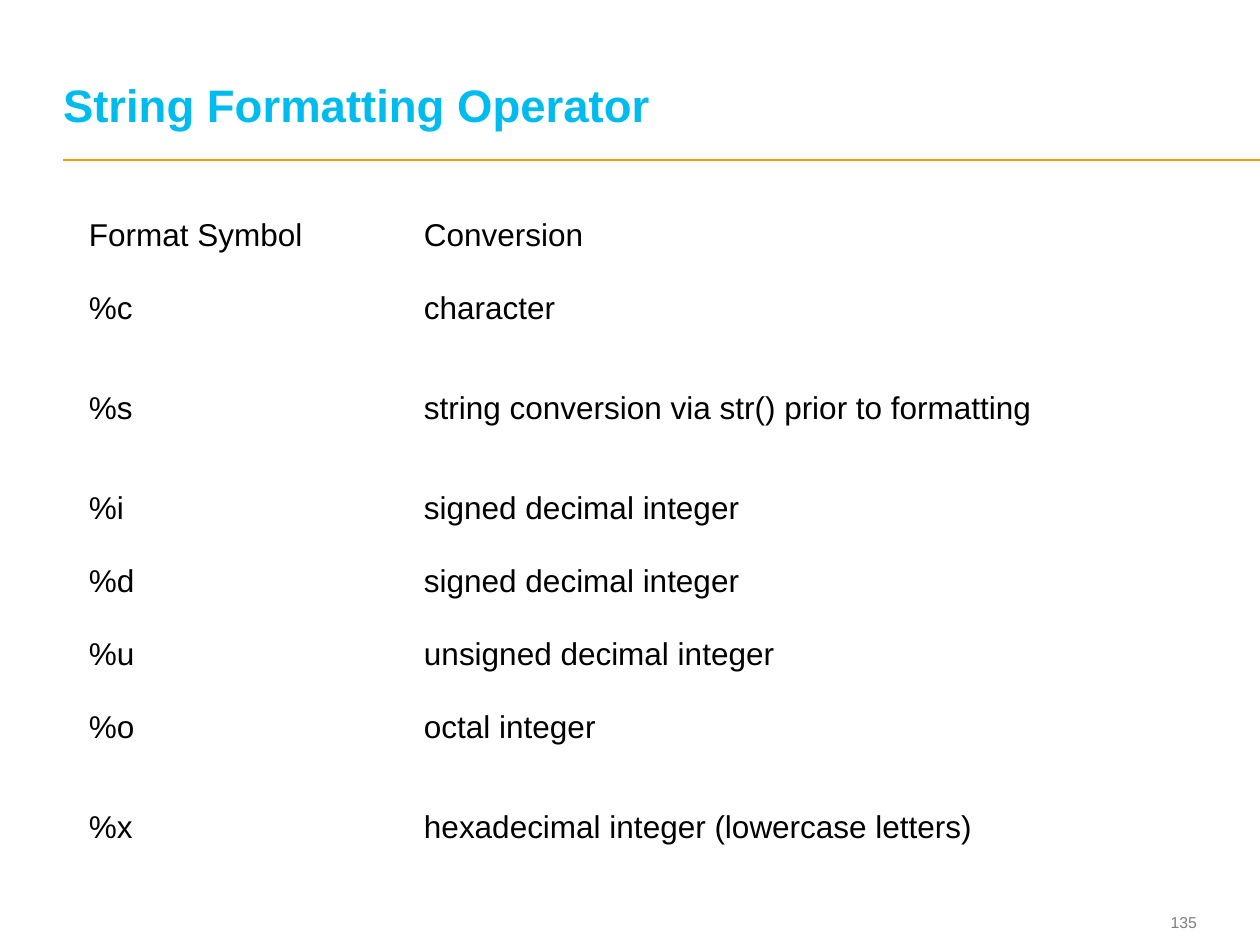
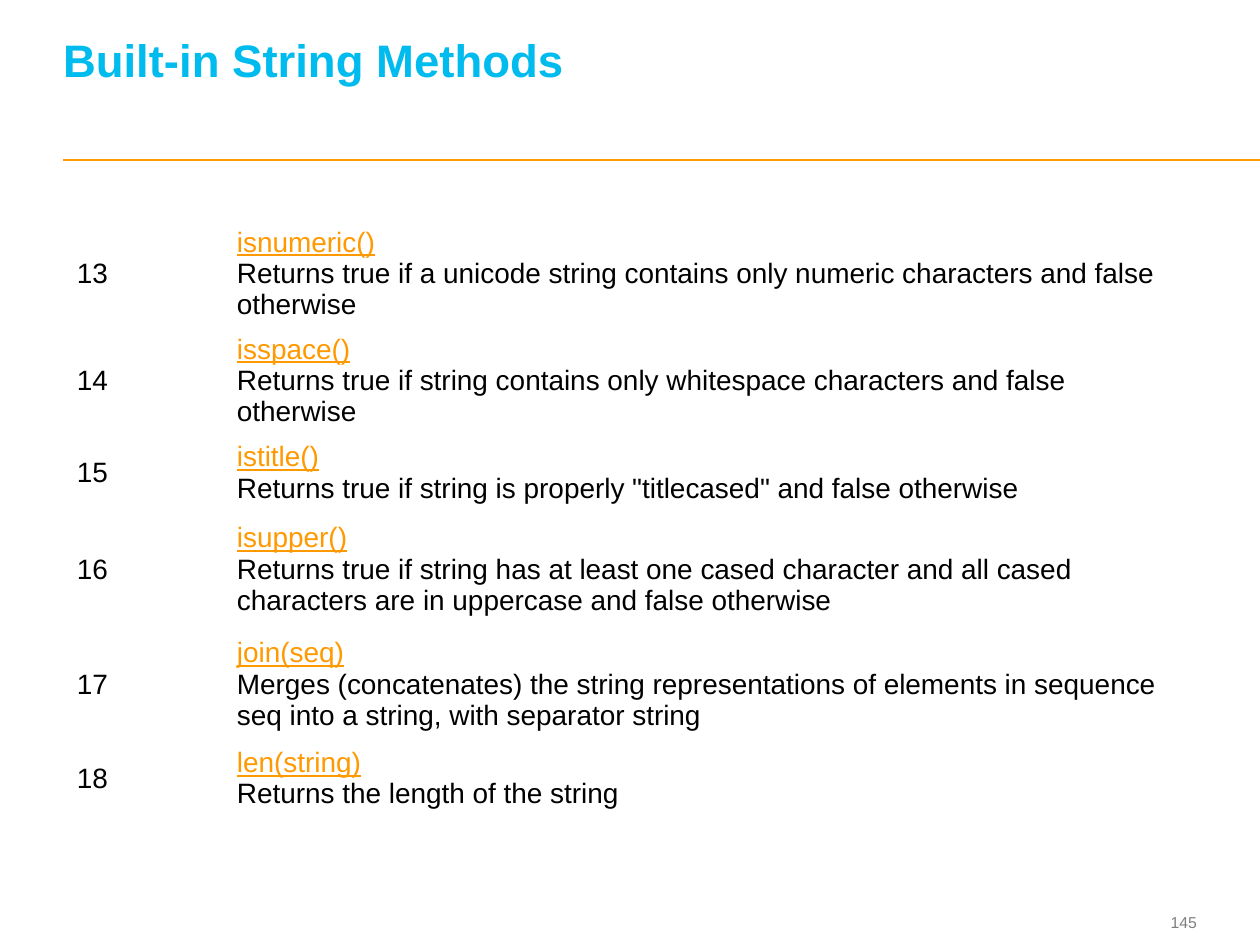
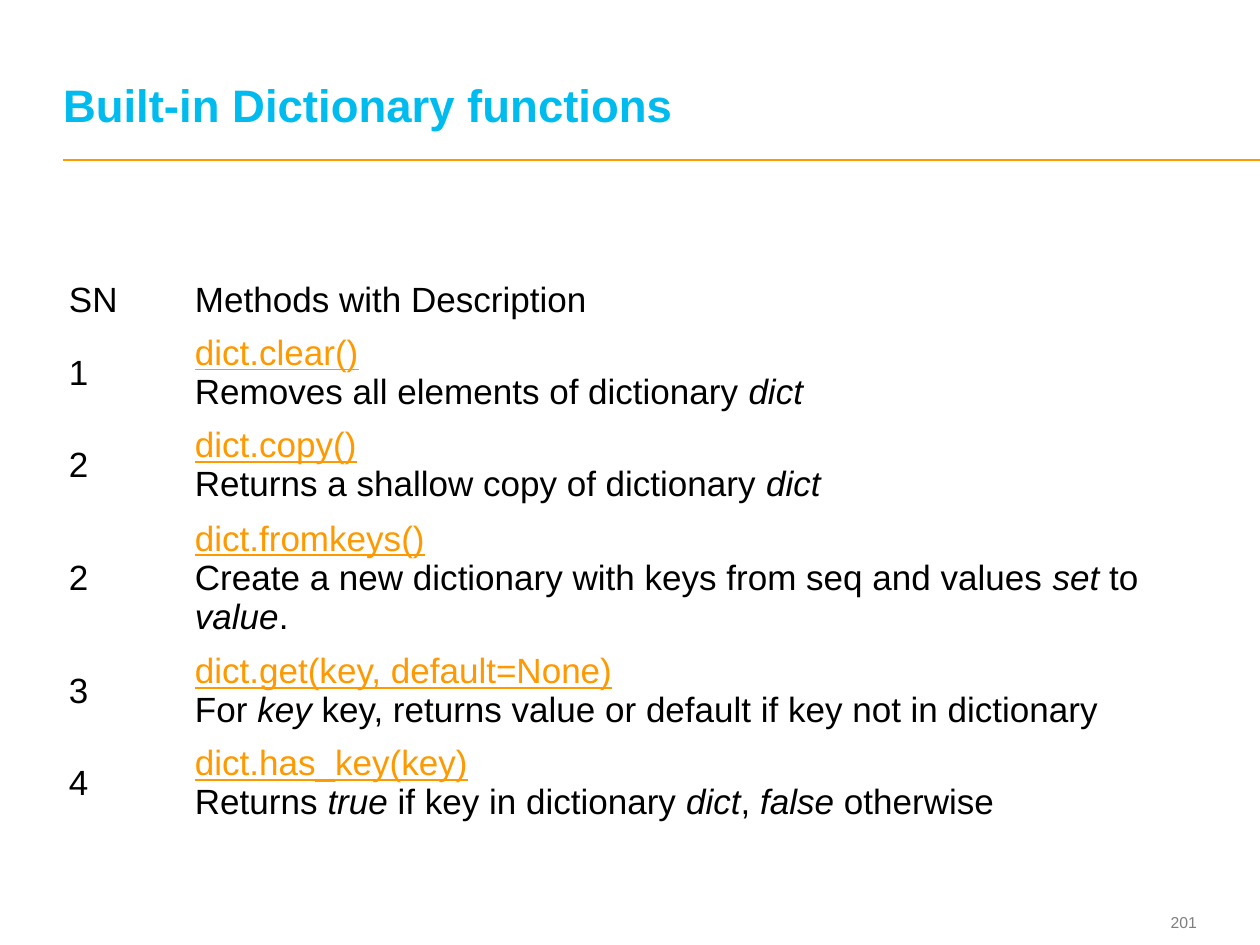
"""Build three slides on string formatting, string methods and dictionary functions."""
from lxml.etree import SubElement
from pptx import Presentation
from pptx.dml.color import RGBColor
from pptx.enum.shapes import MSO_CONNECTOR as CONN
from pptx.enum.text import MSO_ANCHOR as ANCHOR, PP_ALIGN as ALIGN
from pptx.oxml.ns import qn
from pptx.util import Pt

SCALE = 914400 / 126
ORANGE, CYAN, GREY, BLACK = "FF9900", "00BBEE", "7F7F7F", "000000"


def px(*lengths):
    return [round(n * SCALE) for n in lengths]


def write(p, text, size, color, **fmt):
    r = p.add_run()
    r.text = text
    r.font.color.rgb = RGBColor.from_string(color)
    for name, value in {"name": "Arial", "size": Pt(size), **fmt}.items():
        setattr(r.font, name, value)


slides = [
    {
        "title": "String Formatting Operator", "title_drop": 0, "number": "135",
        "at": (76, 199), "cols": (335, 796), "size": 18, "inset": (13, 6),
        "rows": [
            (73, "Format Symbol", "Conversion"),
            (73, "%c", "character"),
            (127, "%s", "string conversion via str() prior to formatting"),
            (73, "%i", "signed decimal integer"),
            (73, "%d", "signed decimal integer"),
            (73, "%u", "unsigned decimal integer"),
            (73, "%o", "octal integer"),
            (127, "%x", "hexadecimal integer (lowercase letters)"),
        ],
    },
    {
        "title": "Built-in String Methods", "title_drop": 45, "number": "145",
        "at": (71, 220), "cols": (160, 955), "size": 16, "inset": (6, 3),
        "rows": [
            (107, "13", "isnumeric()\nReturns true if a unicode string contains only numeric characters and false otherwise"),
            (107, "14", "isspace()\nReturns true if string contains only whitespace characters and false otherwise"),
            (78, "15", "istitle()\nReturns true if string is properly \"titlecased\" and false otherwise"),
            (115, "16", "isupper()\nReturns true if string has at least one cased character and all cased characters are in uppercase and false otherwise"),
            (115, "17", "join(seq)\nMerges (concatenates) the string representations of elements in sequence seq into a string, with separator string"),
            (73, "18", "len(string)\nReturns the length of the string"),
        ],
    },
    {
        "title": "Built-in Dictionary functions", "title_drop": 0, "number": "201",
        "at": (63, 273), "cols": (126, 1028), "size": 20, "inset": (6, 4),
        "rows": [
            (54, "SN", "Methods with Description"),
            (91, "1", "dict.clear()\nRemoves all elements of dictionary *dict*"),
            (91, "2", "dict.copy()\nReturns a shallow copy of dictionary *dict*"),
            (132, "2", "dict.fromkeys()\nCreate a new dictionary with keys from seq and values *set* to *value*."),
            (91, "3", "dict.get(key, default=None)\nFor *key* key, returns value or default if key not in dictionary"),
            (91, "4", "dict.has_key(key)\nReturns *true* if key in dictionary *dict*, *false* otherwise"),
        ],
    },
]

prs = Presentation()
prs.slide_width, prs.slide_height = px(1260, 945)

for data in slides:
    s = prs.slides.add_slide(prs.slide_layouts[6])

    rule = s.shapes.add_connector(CONN.STRAIGHT, *px(63, 160, 1260, 160))
    rule.line.color.rgb = RGBColor.from_string(ORANGE)
    rule.line.width = Pt(1)
    SubElement(rule._element.spPr, qn("a:effectLst"))

    boxes = [
        ((1123, 905, 74, 34), ANCHOR.MIDDLE, 0, ALIGN.RIGHT, None, data["number"], 9, GREY, False),
        ((63, 24, 1130, 108), ANCHOR.BOTTOM, data["title_drop"], ALIGN.LEFT, Pt(26), data["title"], 26, CYAN, True),
    ]
    for box, anchor, drop, align, spacing, text, size, color, bold in boxes:
        tf = s.shapes.add_textbox(*px(*box)).text_frame
        frame = {"word_wrap": True, "vertical_anchor": anchor, "margin_left": 0, "margin_right": 0,
                 "margin_top": 0, "margin_bottom": px(drop)[0]}
        for name, value in frame.items():
            setattr(tf, name, value)
        p = tf.paragraphs[0]
        p.alignment, p.line_spacing = align, spacing
        write(p, text, size, color, bold=bold)

    rows, cols, size = data["rows"], data["cols"], data["size"]
    extent = px(*data["at"], sum(cols), sum(row[0] for row in rows))
    table = s.shapes.add_table(len(rows), len(cols), *extent).table
    table.first_row = table.horz_banding = False
    for col, width in zip(table.columns, px(*cols)):
        col.width = width
    side, edge = px(*data["inset"])
    layout = {"vertical_anchor": ANCHOR.MIDDLE, "margin_left": side, "margin_right": side,
              "margin_top": edge, "margin_bottom": edge}
    for row, (height, *texts) in zip(table.rows, rows):
        row.height = px(height)[0]
        for cell, text in zip(row.cells, texts):
            cell.fill.background()
            for name, value in layout.items():
                setattr(cell, name, value)
            p = cell.text_frame.paragraphs[0]
            method, gap, description = text.rpartition("\n")
            if gap:
                write(p, method, size, ORANGE, underline=True)
                p.add_line_break()
                SubElement(p._p[-1], qn("a:rPr"), sz=str(size * 100))
            for i, part in enumerate(description.split("*")):
                if part:
                    write(p, part, size, BLACK, italic=i % 2 == 1)

prs.save("out.pptx")
